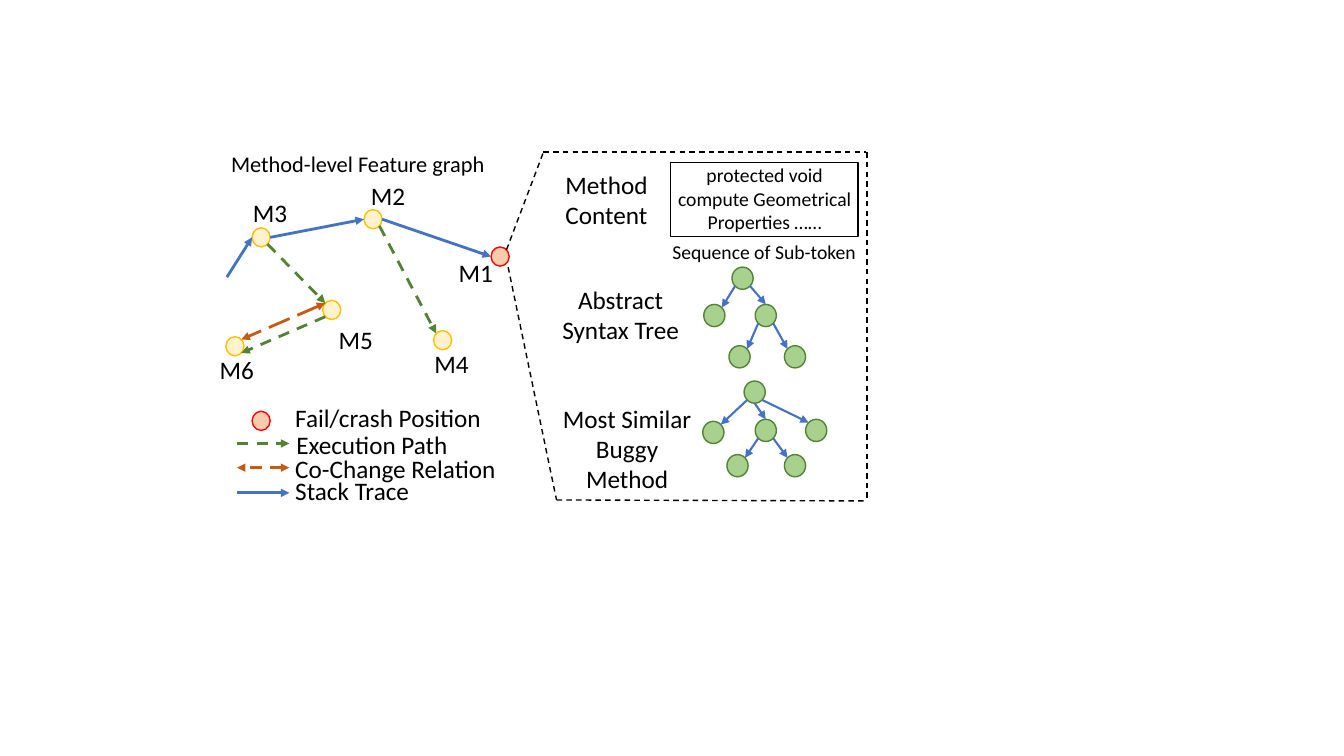
from lxml.etree import SubElement
from pptx import Presentation
from pptx.dml.color import RGBColor
from pptx.enum.dml import MSO_LINE as DASH
from pptx.enum.shapes import MSO_CONNECTOR as CONN, MSO_SHAPE as SHAPE
from pptx.enum.text import MSO_AUTO_SIZE as FIT, PP_ALIGN as AL
from pptx.oxml.ns import qn
from pptx.util import Pt

PX = 9144
BLACK = RGBColor(0, 0, 0)
BLUE = RGBColor(0x44, 0x72, 0xC4)
GREEN = RGBColor(0x54, 0x82, 0x35)
ORANGE = RGBColor(0xC5, 0x5A, 0x11)
RED = RGBColor(0xFF, 0, 0)
GOLD = RGBColor(0xFF, 0xC0, 0)
CREAM = RGBColor(0xFF, 0xF2, 0xCC)
PEACH = RGBColor(0xF8, 0xCB, 0xAD)
LEAF = RGBColor(0xA9, 0xD1, 0x8E)

NODE_STYLES = {
    "method": (18, 19, CREAM, GOLD),
    "crash": (18, 19, PEACH, RED),
    "tree": (21, 22, LEAF, GREEN),
}
EDGE_STYLES = {
    "trace": (BLUE, 2, None, False, True),
    "execution": (GREEN, 2, DASH.DASH, False, True),
    "cochange": (ORANGE, 2, DASH.LONG_DASH, True, True),
    "cochange key": (ORANGE, 2, DASH.DASH, True, True),
    "branch": (BLUE, 1.5, None, False, True),
    "frame": (BLACK, 1, DASH.DASH, False, False),
}
NODES = {
    "M3": ("method", 250, 226),
    "M5": ("method", 320, 298),
    "M2": ("method", 361, 208),
    "M4": ("method", 430, 328),
    "M1": ("crash", 487, 245),
    "M6": ("method", 224, 334),
    "key": ("crash", 250, 408),
    "syntax root": ("tree", 726, 265),
    "syntax left": ("tree", 698, 302),
    "syntax right": ("tree", 749, 302),
    "syntax leaf 1": ("tree", 723, 343),
    "syntax leaf 2": ("tree", 778, 343),
    "buggy root": ("tree", 738, 378),
    "buggy left": ("tree", 697, 418),
    "buggy middle": ("tree", 749, 416),
    "buggy right": ("tree", 799, 416),
    "buggy leaf 1": ("tree", 721, 451),
    "buggy leaf 2": ("tree", 778, 451),
}
EDGES = [
    ("trace", ("M3", "E"), ("M2", "W")),
    ("trace", ("M2", "E"), ("M1", "W")),
    ("execution", ("M2", "SE"), ("M4", "NW")),
    ("execution", ("M3", "SE"), ("M5", "NW")),
    ("trace", (225, 275), ("M3", "W")),
    ("execution", ("M5", "SW"), ("M6", "SE")),
    ("cochange", ("M5", "NW"), ("M6", "NE")),
    ("execution", (235, 440), (287, 440)),
    ("cochange key", (287, 464), (235, 464)),
    ("trace", (235, 489), (287, 489)),
    ("branch", ("syntax root", "SW"), ("syntax left", "NE")),
    ("branch", ("syntax root", "SE"), ("syntax right", "N")),
    ("branch", ("syntax right", "SW"), ("syntax leaf 1", "NE")),
    ("branch", ("syntax right", "SE"), ("syntax leaf 2", "NW")),
    ("branch", ("buggy root", "SW"), ("buggy left", "NE")),
    ("branch", ("buggy root", "S"), ("buggy middle", "N")),
    ("branch", ("buggy root", "SE"), ("buggy right", "NW")),
    ("branch", ("buggy middle", "SW"), ("buggy leaf 1", "NE")),
    ("branch", ("buggy middle", "SE"), ("buggy leaf 2", "NW")),
    ("frame", ("M1", "NE"), (539, 151)),
    ("frame", (539, 151), (859, 151)),
    ("frame", (504, 265), (552, 496)),
    ("frame", (552, 496), (860, 497)),
    ("frame", (860, 151), (860, 498)),
]
TEXTS = [
    ("Method-level Feature graph", 191, 144, 328, 37, 16, AL.CENTER),
    ("M1", 445, 250, 74, 40, 18, AL.LEFT),
    ("M2", 358, 174, 74, 40, 18, AL.LEFT),
    ("M3", 241, 191, 74, 40, 18, AL.LEFT),
    ("M4", 421, 341, 74, 40, 18, AL.LEFT),
    ("M5", 326, 317, 82, 40, 18, AL.LEFT),
    ("M6", 208, 347, 74, 40, 18, AL.LEFT),
    ("Method Content", 551, 163, 112, 71, 18, AL.LEFT),
    ("Abstract Syntax Tree", 535, 277, 161, 71, 18, AL.CENTER),
    ("Most Similar Buggy Method", 545, 395, 154, 101, 18, AL.CENTER),
    ("protected void compute Geometrical Properties ……", 655, 157, 207, 81, 14, AL.CENTER),
    ("Sequence of Sub-token", 657, 233, 224, 34, 14, AL.LEFT),
    ("Fail/crash Position", 283, 394, 224, 40, 18, AL.LEFT),
    ("Execution Path", 284, 421, 191, 40, 18, AL.LEFT),
    ("Co-Change Relation", 283, 445, 254, 40, 18, AL.LEFT),
    ("Stack Trace", 283, 467, 254, 40, 18, AL.LEFT),
]
CODE_BOX = (665, 161, 186, 74)


def emu(*lengths):
    return [round(n * PX) for n in lengths]


def add_outlined(s, kind, box, fill, line):
    sp = s.shapes.add_shape(kind, *emu(*box))
    sp.shadow.inherit = False
    if fill is None:
        sp.fill.background()
    else:
        sp.fill.solid()
        sp.fill.fore_color.rgb = fill
    sp.line.color.rgb = line
    sp.line.width = Pt(1)


def add_node(s, style, x, y):
    w, h, fill, line = NODE_STYLES[style]
    add_outlined(s, SHAPE.OVAL, (x, y, w, h), fill, line)


def anchor(end):
    if end[0] not in NODES:
        return end
    name, side = end
    style, x, y = NODES[name]
    w, h = NODE_STYLES[style][:2]
    reach = 0.5 ** 0.5 if len(side) == 2 else 1
    dx = ("E" in side) - ("W" in side)
    dy = ("S" in side) - ("N" in side)
    return x + w / 2 * (1 + dx * reach), y + h / 2 * (1 + dy * reach)


def add_edge(s, style, start, end):
    color, width, dash, head, tail = EDGE_STYLES[style]
    cx = s.shapes.add_connector(CONN.STRAIGHT, *emu(*anchor(start), *anchor(end)))
    cx.line.color.rgb = color
    cx.line.width = Pt(width)
    if dash is not None:
        cx.line.dash_style = dash
    ln = cx.line._get_or_add_ln()
    for tag, shown in (("a:headEnd", head), ("a:tailEnd", tail)):
        if shown:
            SubElement(ln, qn(tag), type="triangle")
    SubElement(ln.getparent(), qn("a:effectLst"))


def add_text(s, text, x, y, w, h, size, align):
    tf = s.shapes.add_textbox(*emu(x, y, w, h)).text_frame
    tf.word_wrap = True
    tf.auto_size = FIT.SHAPE_TO_FIT_TEXT
    p = tf.paragraphs[0]
    p.alignment = align
    r = p.add_run()
    r.text = text
    r.font.name = "Calibri"
    r.font.size = Pt(size)
    r.font.color.rgb = BLACK


def main():
    prs = Presentation()
    prs.slide_width, prs.slide_height = emu(1333, 750)
    s = prs.slides.add_slide(prs.slide_layouts[6])
    for node in NODES.values():
        add_node(s, *node)
    for edge in EDGES:
        add_edge(s, *edge)
    add_outlined(s, SHAPE.RECTANGLE, CODE_BOX, None, BLACK)
    for text in TEXTS:
        add_text(s, *text)
    prs.save("out.pptx")


if __name__ == "__main__":
    main()
